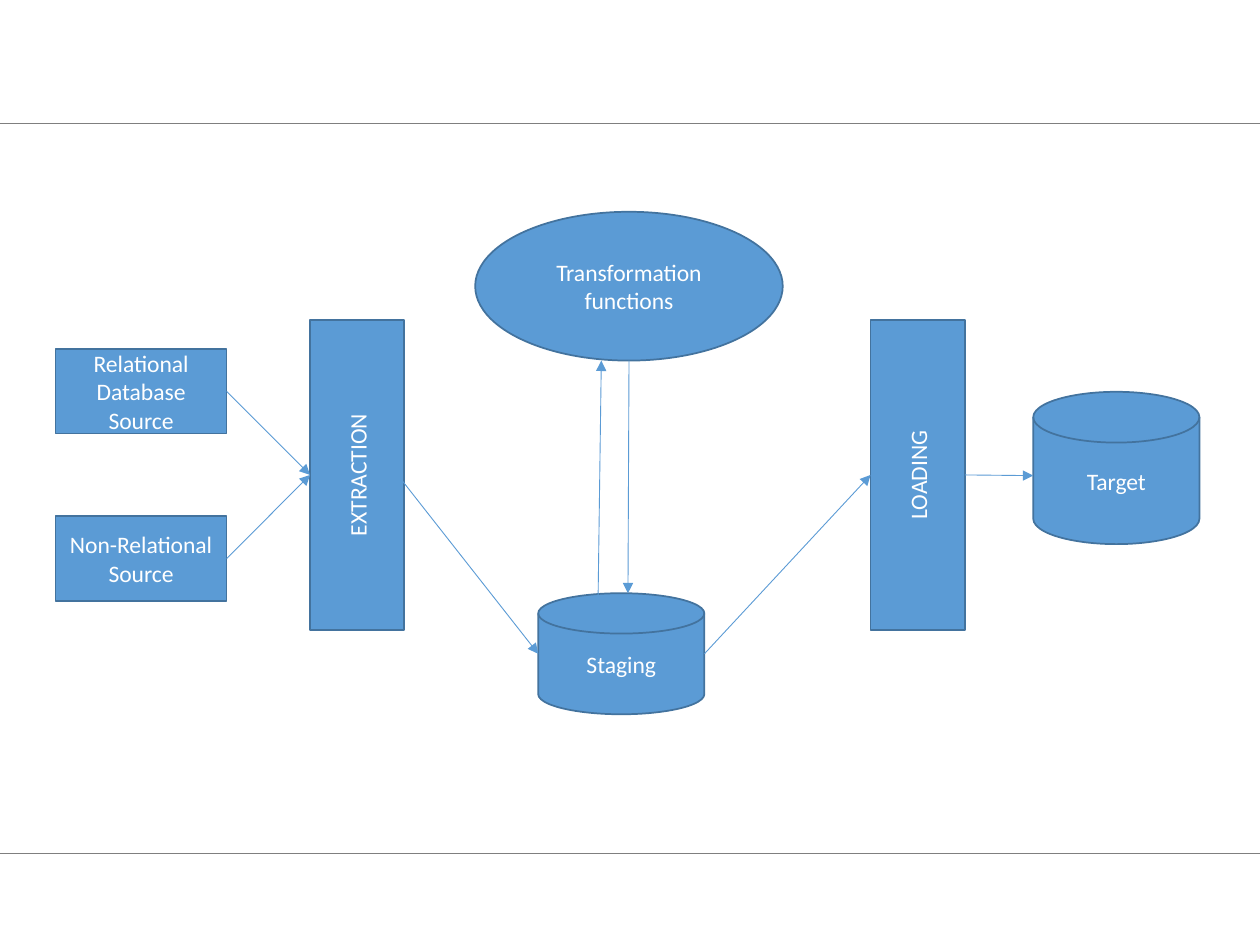
"""Build a slide showing an extraction, transformation and loading flow."""
from lxml import etree
from pptx import Presentation
from pptx import util as u
from pptx.dml.color import RGBColor
from pptx.enum import shapes, text
from pptx.oxml import ns

WIDTH, HEIGHT = 25.4, 19.05
BLUE, EDGE, GRAY, WHITE = "5B9BD5", "43739E", "7F7F7F", "FFFFFF"
RULES = (2.49, 17.2)
SOURCE, STAGE = (3.45, 1.7), (1.9, 6.25)
KIND = shapes.MSO_SHAPE

STEPS = {
    "relational": (["Relational Database", "Source"], KIND.RECTANGLE, (1.12, 7.04), SOURCE),
    "other": (["Non-Relational Source"], KIND.RECTANGLE, (1.12, 10.41), SOURCE),
    "staging": (["Staging"], KIND.FLOWCHART_MAGNETIC_DISK, (10.85, 11.96), (3.35, 2.44)),
    "functions": (["Transformation functions"], KIND.OVAL, (9.58, 4.27), (6.2, 3)),
    "extraction": (["EXTRACTION"], KIND.RECTANGLE, (6.25, 6.45), STAGE),
    "loading": (["LOADING"], KIND.RECTANGLE, (17.55, 6.45), STAGE),
    "target": (["Target"], KIND.FLOWCHART_MAGNETIC_DISK, (20.83, 7.9), (3.35, 3.07)),
}
UPRIGHT = ("extraction", "loading")
LEFT, RIGHT, BOTTOM = (0, 0.5), (1, 0.5), (0.5, 1)
FLOWS = [
    ("relational", RIGHT, "extraction", LEFT),
    ("other", RIGHT, "extraction", LEFT),
    ("extraction", (0.93, 0.5), "staging", LEFT),
    ("functions", BOTTOM, "staging", (0.54, 0)),
    ("staging", RIGHT, "loading", LEFT),
    ("loading", RIGHT, "target", (0, 0.55)),
    ("staging", (0.36, 0.06), "functions", (0.41, 1)),
]
FRAME_FORMAT = {"word_wrap": True, "vertical_anchor": text.MSO_ANCHOR.MIDDLE}
FONT_FORMAT = {"name": "Calibri", "size": u.Pt(13.5)}


def apply(target, values):
    for name, value in values.items():
        setattr(target, name, value)


def paint(fill, color):
    fill.solid()
    fill.fore_color.rgb = RGBColor.from_string(color)


def add_line(slide, start, end, color, arrow=False):
    ends = [u.Cm(value) for value in (*start, *end)]
    line = slide.shapes.add_connector(shapes.MSO_CONNECTOR.STRAIGHT, *ends)
    paint(line.line.fill, color)
    line.line.width = u.Pt(0.5)
    if arrow:
        etree.SubElement(line.line._get_or_add_ln(), ns.qn("a:tailEnd"), type="triangle")
    etree.SubElement(line._element.spPr, ns.qn("a:effectLst"))


def add_step(slide, key):
    lines, kind, place, size = STEPS[key]
    step = slide.shapes.add_shape(kind, *(u.Cm(value) for value in place + size))
    step.shadow.inherit = False
    paint(step.fill, BLUE)
    paint(step.line.fill, EDGE)
    step.line.width = u.Pt(1)
    frame = step.text_frame
    apply(frame, FRAME_FORMAT)
    frame.text = "\n".join(lines)
    if key in UPRIGHT:
        frame._txBody.bodyPr.set("vert", "vert270")
    for paragraph in frame.paragraphs:
        paragraph.alignment = text.PP_ALIGN.CENTER
        font = paragraph.runs[0].font
        apply(font, FONT_FORMAT)
        paint(font.fill, WHITE)


def anchor(key, share):
    place, size = STEPS[key][2:]
    return [p + s * f for p, s, f in zip(place, size, share)]


def main():
    deck = Presentation()
    apply(deck, {"slide_width": u.Cm(WIDTH), "slide_height": u.Cm(HEIGHT)})
    slide = deck.slides.add_slide(deck.slide_layouts[6])
    for level in reversed(RULES):
        add_line(slide, (0, level), (WIDTH, level), GRAY)
    for key in STEPS:
        add_step(slide, key)
    for origin, leave, goal, arrive in FLOWS:
        add_line(slide, anchor(origin, leave), anchor(goal, arrive), BLUE, arrow=True)
    deck.save("out.pptx")


if __name__ == "__main__":
    main()
